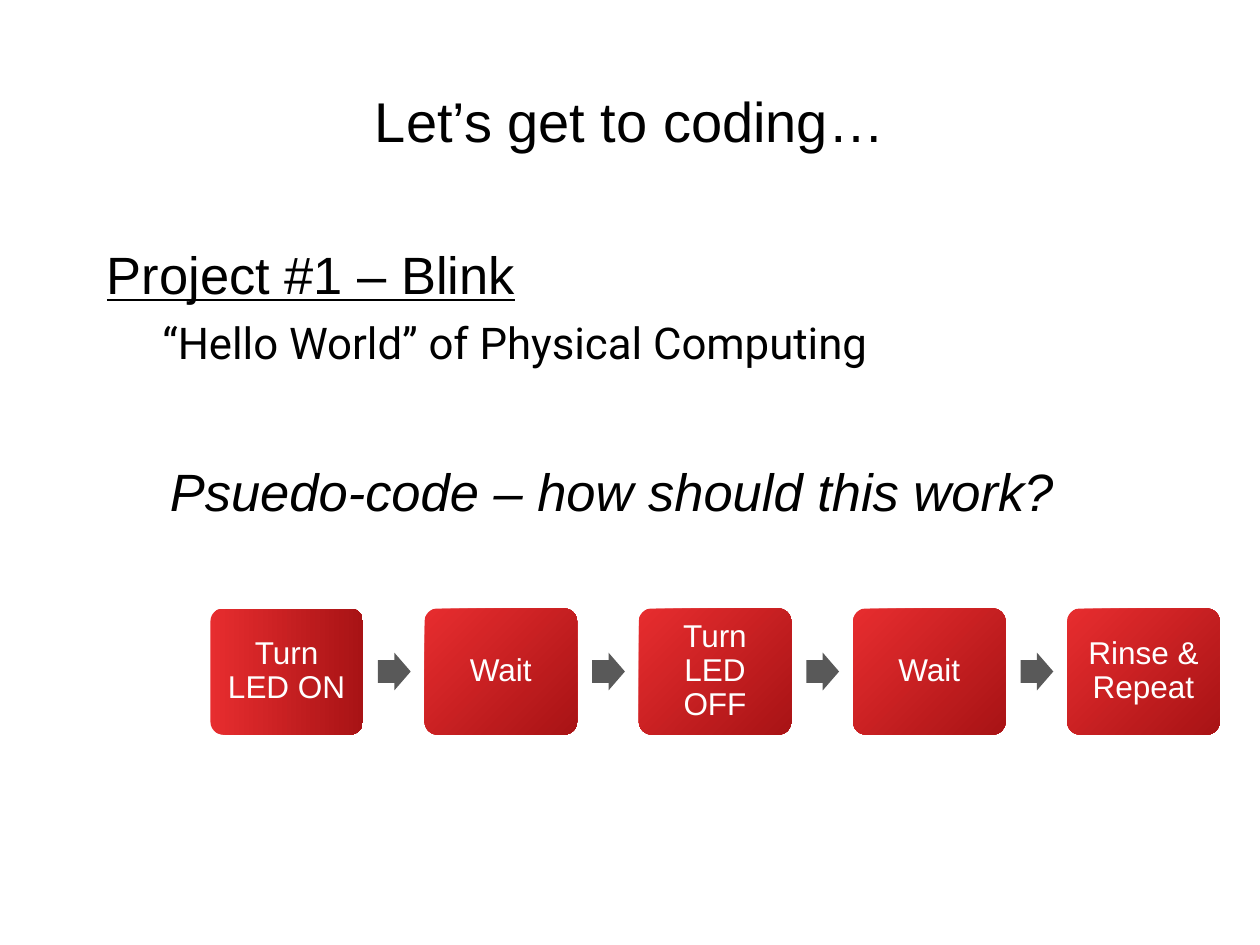
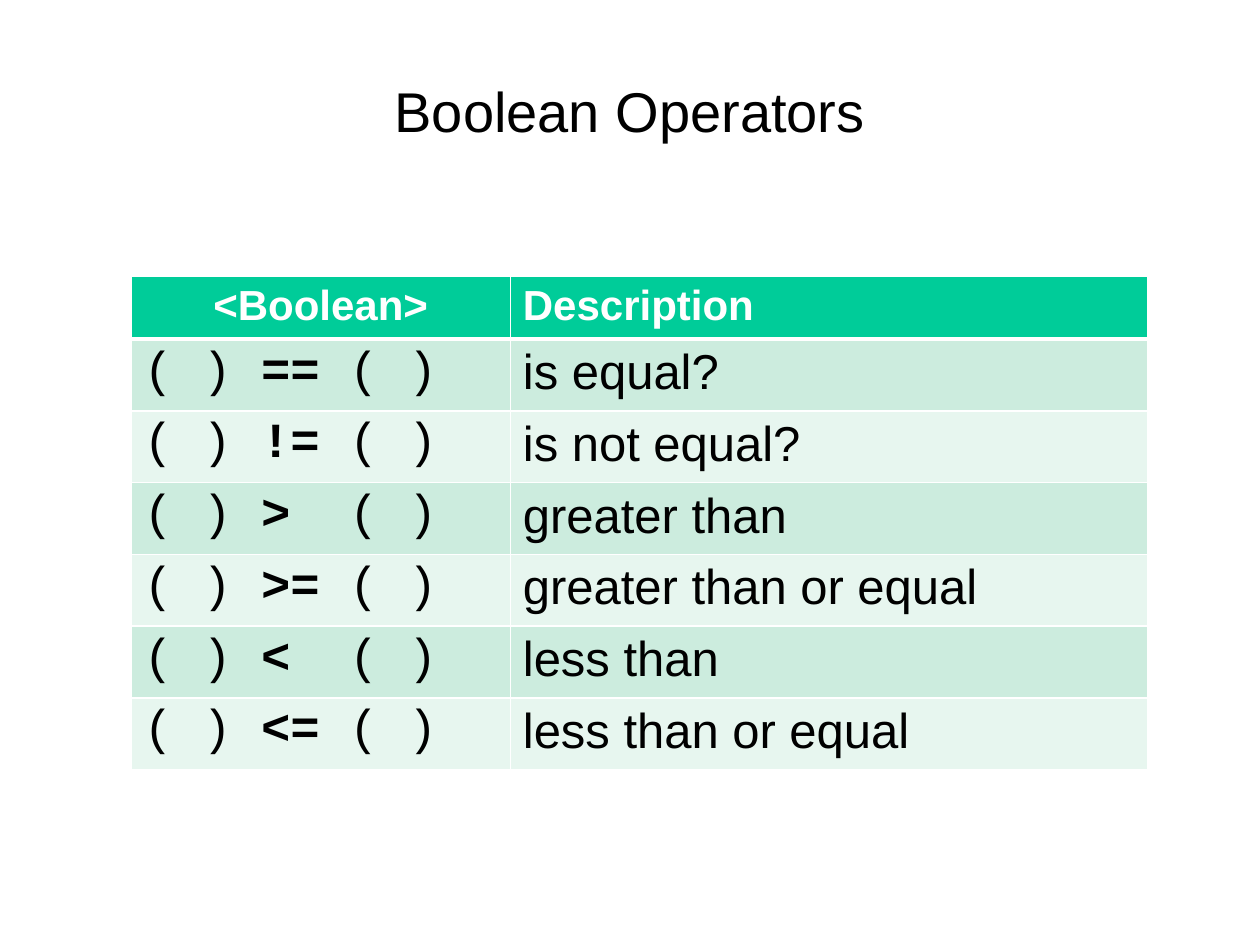
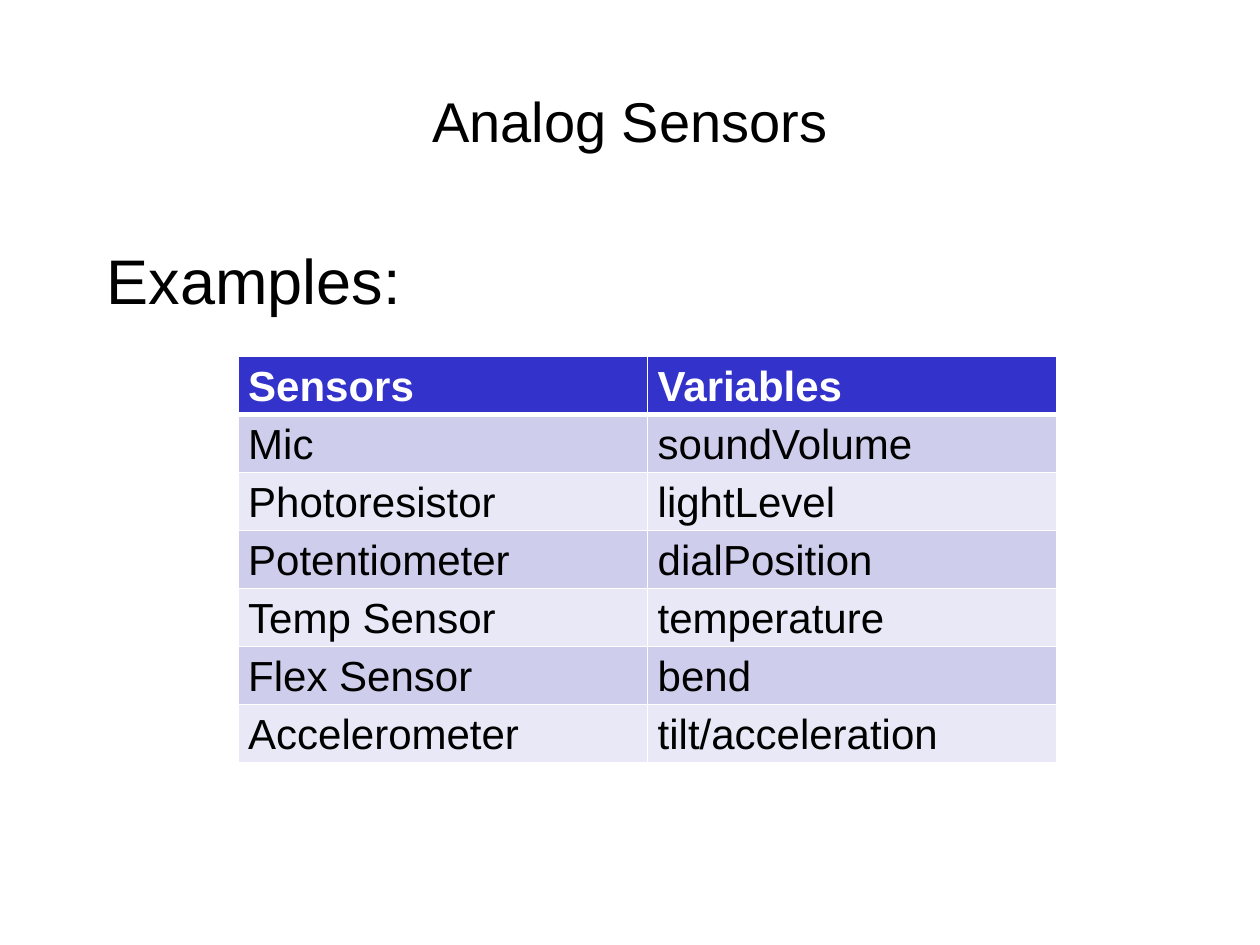
from lxml.etree import SubElement
from pptx import Presentation
from pptx.dml.color import RGBColor
from pptx.enum.shapes import MSO_SHAPE
from pptx.enum.text import MSO_ANCHOR, PP_ALIGN
from pptx.oxml.ns import qn
from pptx.util import Inches, Pt

# Shared style
BLACK = RGBColor(0x00, 0x00, 0x00)
WHITE = RGBColor(0xFF, 0xFF, 0xFF)
STEP_RED = RGBColor(0xE7, 0x2D, 0x2F)
STEP_DARK_RED = RGBColor(0xA8, 0x13, 0x15)
ARROW_GRAY = RGBColor(0x59, 0x59, 0x59)
GREENS = (RGBColor(0x00, 0xCC, 0x99), RGBColor(0xCC, 0xEC, 0xDE), RGBColor(0xE7, 0xF6, 0xEF))
BLUES = (RGBColor(0x33, 0x33, 0xCC), RGBColor(0xCE, 0xCE, 0xEC), RGBColor(0xE8, 0xE8, 0xF6))
SANS, MONO, ACCENT = "Arial", "Courier New", "Roboto"


def write(frame, text, size=24, font=SANS, color=BLACK, bold=False, italic=False,
          underline=False, align=PP_ALIGN.LEFT, indent=0, before=0, spacing=None,
          same_line=False):
    """Add text to a frame, as a new paragraph unless same_line is set."""
    paragraph = frame.paragraphs[-1]
    if not same_line:
        if paragraph.runs:
            paragraph = frame.add_paragraph()
        paragraph.alignment = align
        paragraph.space_before = Pt(before)
        paragraph.line_spacing = spacing
        if indent:
            paragraph._p.get_or_add_pPr().set("marL", str(Inches(indent)))
    run = paragraph.add_run()
    run.text = text
    run.font.name, run.font.size = font, Pt(size)
    run.font.bold, run.font.italic, run.font.underline = bold, italic, underline
    run.font.color.rgb = color


def border_cell(cell, top, bottom):
    """Draw white borders; top and bottom are widths in points."""
    properties = cell._tc.get_or_add_tcPr()
    for side, width in (("L", 1), ("R", 1), ("T", top), ("B", bottom)):
        line = SubElement(properties, qn(f"a:ln{side}"), w=str(Pt(width)))
        fill = SubElement(line, qn("a:solidFill"))
        SubElement(fill, qn("a:srgbClr"), val=str(WHITE))


class Deck:
    def __init__(self):
        self.presentation = Presentation()
        self.presentation.slide_width = Inches(10)
        self.presentation.slide_height = Inches(7.5)
        self.slide = None

    def start_slide(self, title, title_top=0.33):
        self.slide = self.presentation.slides.add_slide(self.presentation.slide_layouts[6])
        frame = self.text_area(0.75, title_top, 8.5, 1.25, anchor=MSO_ANCHOR.MIDDLE)
        write(frame, title, size=32, align=PP_ALIGN.CENTER)

    def text_area(self, left, top, width, height, anchor=MSO_ANCHOR.TOP):
        area = self.slide.shapes.add_textbox(
            Inches(left), Inches(top), Inches(width), Inches(height))
        area.text_frame.word_wrap = True
        area.text_frame.vertical_anchor = anchor
        return area.text_frame

    def body(self):
        return self.text_area(0.75, 1.87, 8.5, 4.79)

    def shape(self, kind, left, top, width, height, adjustments):
        shape = self.slide.shapes.add_shape(
            kind, Inches(left), Inches(top), Inches(width), Inches(height))
        shape.shadow.inherit = False
        shape.line.fill.background()
        for index, value in enumerate(adjustments):
            shape.adjustments[index] = value
        return shape

    def step(self, text, left, angle):
        step = self.shape(MSO_SHAPE.ROUNDED_RECTANGLE, left, 4.83, 1.21, 1, [0.1])
        step.fill.gradient()
        step.fill.gradient_angle = angle
        for stop, color in zip(step.fill.gradient_stops, (STEP_RED, STEP_DARK_RED)):
            stop.color.rgb = color
        frame = step.text_frame
        frame.word_wrap = True
        frame.vertical_anchor = MSO_ANCHOR.MIDDLE
        frame.margin_left = frame.margin_right = Inches(0.1)
        frame.margin_top = frame.margin_bottom = Inches(0.1)
        write(frame, text, size=18, color=WHITE, align=PP_ALIGN.CENTER, spacing=0.9)

    def arrow(self, left):
        arrow = self.shape(MSO_SHAPE.RIGHT_ARROW, left, 5.18, 0.26, 0.3, [0.6, 0.5])
        arrow.fill.solid()
        arrow.fill.fore_color.rgb = ARROW_GRAY

    def table(self, left, top, widths, heights, colors, margins):
        """Add a table with a header colour and two row colours; return its cells."""
        table = self.slide.shapes.add_table(
            len(heights), len(widths), Inches(left), Inches(top),
            Inches(sum(widths)), Inches(sum(heights))).table
        for column, width in zip(table.columns, widths):
            column.width = Inches(width)
        for index, (row, height) in enumerate(zip(table.rows, heights)):
            row.height = Inches(height)
            for cell in row.cells:
                cell.margin_left = cell.margin_right = Inches(margins[0])
                cell.margin_top = cell.margin_bottom = Inches(margins[1])
                border_cell(cell, top=3 if index == 1 else 1, bottom=3 if index == 0 else 1)
                cell.fill.solid()
                cell.fill.fore_color.rgb = colors[0] if index == 0 else colors[2 - index % 2]
        return [[cell.text_frame for cell in row.cells] for row in table.rows]


def coding_slide(deck):
    deck.start_slide("Let’s get to coding…")
    body = deck.body()
    write(body, "Project #1 – Blink", size=30, underline=True)
    write(body, "“Hello World” of Physical Computing", size=25, font=ACCENT,
          indent=0.44, before=6.2)
    write(body, "Psuedo-code – how should this work?", size=30, italic=True,
          indent=0.5, before=52)

    # Blink steps, with an arrow before each one but the first
    steps = ["Turn LED ON", "Wait", "Turn LED OFF", "Wait", "Rinse & Repeat"]
    pitch = 1.7
    for index, text in enumerate(steps):
        left = 1.67 + index * pitch
        if index:
            deck.arrow(left - 0.37)
        deck.step(text, left, angle=315 if index else 0)


def operators_slide(deck):
    deck.start_slide("Boolean Operators", title_top=0.25)
    operators = [
        ("==", "is equal?"),
        ("!=", "is not equal?"),
        ("> ", "greater than"),
        (">=", "greater than or equal"),
        ("< ", "less than"),
        ("<=", "less than or equal"),
    ]
    header, *rows = deck.table(1.04, 2.19, [3.01, 5.06], [0.5] + [0.57] * len(operators),
                               GREENS, margins=(0.1, 0.05))
    write(header[0], "<Boolean>", color=WHITE, bold=True, align=PP_ALIGN.CENTER)
    write(header[1], "Description", color=WHITE, bold=True)
    for (expression, meaning), (operator, description) in zip(rows, operators):
        write(expression, "( ) ", size=28, font=MONO)
        write(expression, operator, size=28, font=MONO, bold=True, same_line=True)
        write(expression, " ( )", size=28, font=MONO, same_line=True)
        write(meaning, description, size=28)


def sensors_slide(deck):
    deck.start_slide("Analog Sensors")
    write(deck.body(), "Examples:", size=36)
    sensors = [
        ("Sensors", "Variables"),
        ("Mic", "soundVolume"),
        ("Photoresistor", "lightLevel"),
        ("Potentiometer", "dialPosition"),
        ("Temp Sensor", "temperature"),
        ("Flex Sensor", "bend"),
        ("Accelerometer", "tilt/acceleration"),
    ]
    rows = deck.table(1.89, 2.83, [3.25] * 2, [0.46] * len(sensors), BLUES, margins=(0.08, 0))
    for index, (row, texts) in enumerate(zip(rows, sensors)):
        for frame, text in zip(row, texts):
            write(frame, text, color=BLACK if index else WHITE, bold=index == 0, spacing=1.15)


def main():
    deck = Deck()
    coding_slide(deck)
    operators_slide(deck)
    sensors_slide(deck)
    deck.presentation.save("out.pptx")


if __name__ == "__main__":
    main()
